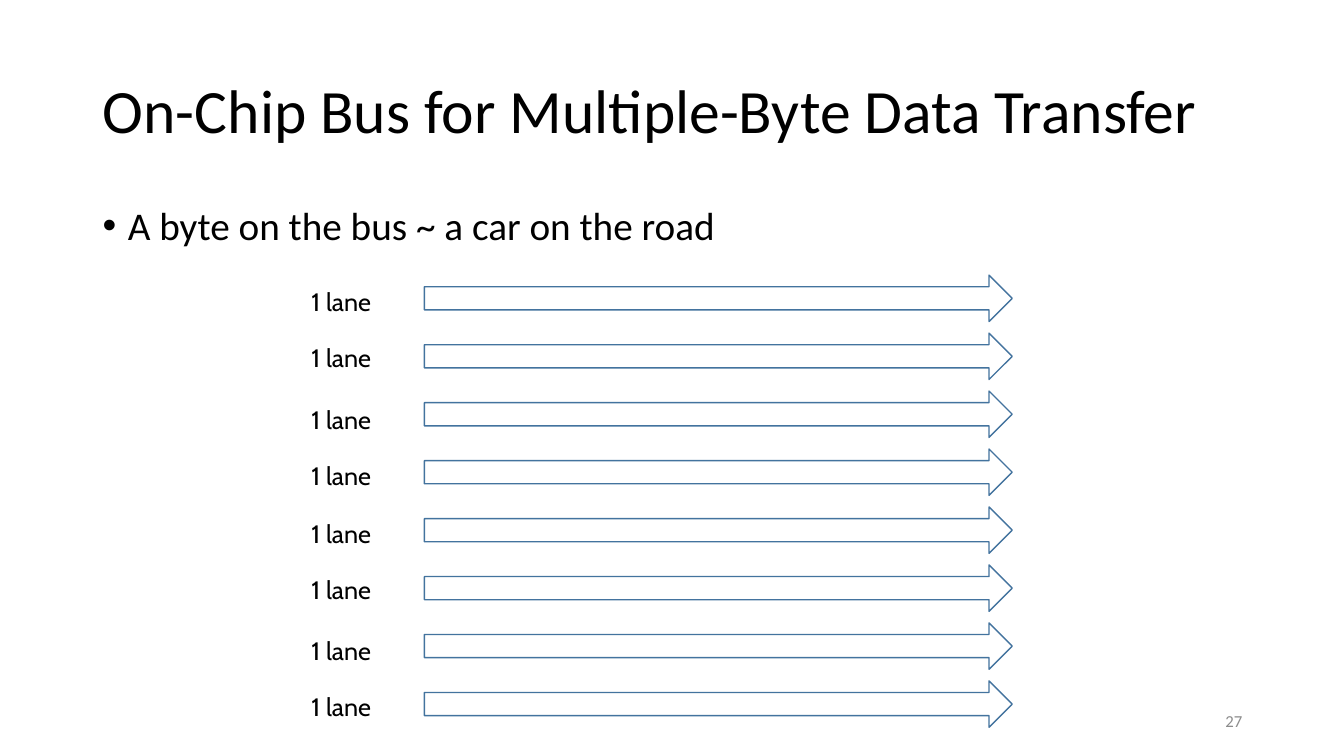
import pptx
import pptx.util
import pptx.dml.color
import pptx.enum.shapes
import pptx.enum.text
import pptx.oxml
import pptx.oxml.ns
from dataclasses import dataclass

Inches = pptx.util.Inches
Pt = pptx.util.Pt
Align = pptx.enum.text.PP_ALIGN
Anchor = pptx.enum.text.MSO_ANCHOR

# Content
TITLE = "On-Chip Bus for Multiple-Byte Data Transfer"
ANALOGY = "A byte on the bus ~ a car on the road"
LANE_LABEL = "1 lane"
LABEL_TOPS = [2.79, 3.35, 3.96, 4.52, 5.09, 5.65, 6.25, 6.81]
PAGE = "27"


@dataclass(frozen=True)
class Theme:
    text: str = "000000"
    lane: str = "43739E"
    muted: str = "8C8C8C"
    main_font: str = "Calibri"
    lane_font: str = "Cabin"
    title_size: int = 44
    body_size: int = 28
    lane_size: int = 18
    page_size: int = 12


THEME = Theme()

# Layout, in inches
MARGIN, CONTENT_WIDTH = 0.92, 11.5
LANE_LEFT, LANE_TOP, LANE_WIDTH, LANE_HEIGHT = 4.21, 2.73, 5.83, 0.46
LANE_STEP = 0.575
LABEL_LEFT, LABEL_WIDTH, LABEL_HEIGHT = 2.99, 0.88, 0.4


def rgb(color):
    return pptx.dml.color.RGBColor.from_string(color)


def box(left, top, width, height):
    return [Inches(value) for value in (left, top, width, height)]


def write(frame, text, size, font=THEME.main_font, color=THEME.text,
          align=Align.LEFT, anchor=Anchor.TOP, wrap=True):
    frame.word_wrap = wrap
    frame.vertical_anchor = anchor
    paragraph = frame.paragraphs[0]
    paragraph.alignment = align
    run = paragraph.add_run()
    run.text = text
    run.font.size = Pt(size)
    run.font.name = font
    run.font.color.rgb = rgb(color)
    return paragraph


def add_bullet(paragraph, indent):
    properties = paragraph._p.get_or_add_pPr()
    properties.set("marL", str(Inches(indent)))
    properties.set("indent", str(-Inches(indent)))
    for tag, attribute, value in (("buFont", "typeface", "Arial"),
                                  ("buChar", "char", "•")):
        element = pptx.oxml.parse_xml(
            f'<a:{tag} {pptx.oxml.ns.nsdecls("a")} {attribute}="{value}"/>')
        properties.append(element)


def add_lane(slide, top, label_top):
    arrow = slide.shapes.add_shape(
        pptx.enum.shapes.MSO_SHAPE.RIGHT_ARROW,
        *box(LANE_LEFT, top, LANE_WIDTH, LANE_HEIGHT))
    arrow.shadow.inherit = False
    arrow.fill.background()
    arrow.line.color.rgb = rgb(THEME.lane)
    arrow.line.width = Pt(1)

    label = slide.shapes.add_textbox(
        *box(LABEL_LEFT, label_top, LABEL_WIDTH, LABEL_HEIGHT))
    write(label.text_frame, LANE_LABEL, THEME.lane_size,
          font=THEME.lane_font, wrap=False)
    label.text_frame.auto_size = pptx.enum.text.MSO_AUTO_SIZE.SHAPE_TO_FIT_TEXT


def main():
    deck = pptx.Presentation()
    deck.slide_width, deck.slide_height = Inches(13.33), Inches(7.5)
    slide = deck.slides.add_slide(deck.slide_layouts.get_by_name("Title Only"))

    # Title
    title = slide.shapes.title
    title.left, title.top, title.width, title.height = box(
        MARGIN, 0.4, CONTENT_WIDTH, 1.45)
    heading = write(title.text_frame, TITLE, THEME.title_size,
                    anchor=Anchor.MIDDLE)
    heading.line_spacing = 0.9

    # Analogy bullet
    body = slide.shapes.add_textbox(*box(MARGIN, 2, CONTENT_WIDTH, 4.76))
    analogy = write(body.text_frame, ANALOGY, THEME.body_size)
    add_bullet(analogy, 0.25)
    analogy.line_spacing = 0.9

    # Bus lanes
    for index, label_top in enumerate(LABEL_TOPS):
        add_lane(slide, LANE_TOP + index * LANE_STEP, label_top)

    # Page number
    page = slide.shapes.add_textbox(*box(9.42, 6.95, 3, 0.4))
    write(page.text_frame, PAGE, THEME.page_size, color=THEME.muted,
          align=Align.RIGHT, anchor=Anchor.MIDDLE)

    deck.save("out.pptx")


if __name__ == "__main__":
    main()
